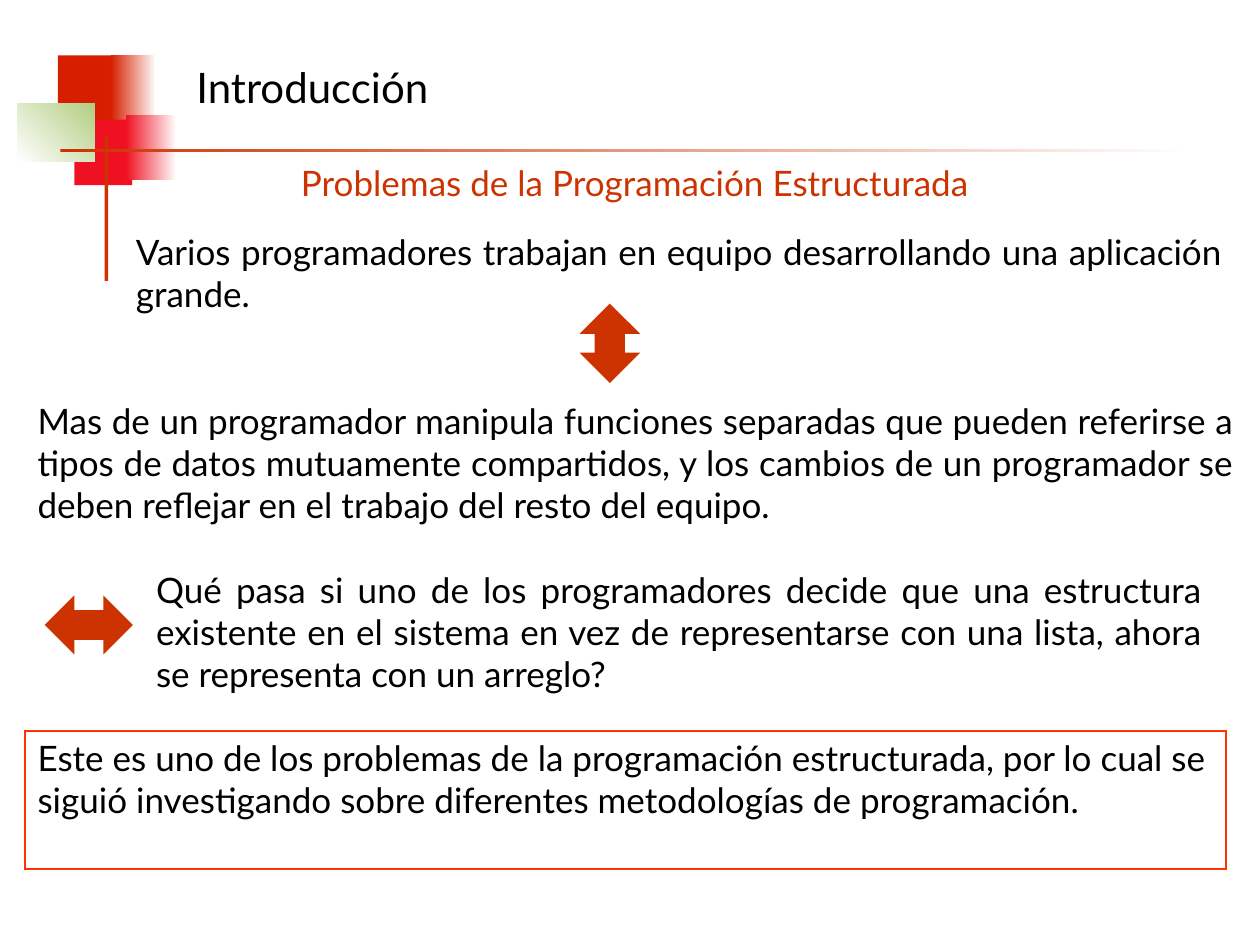
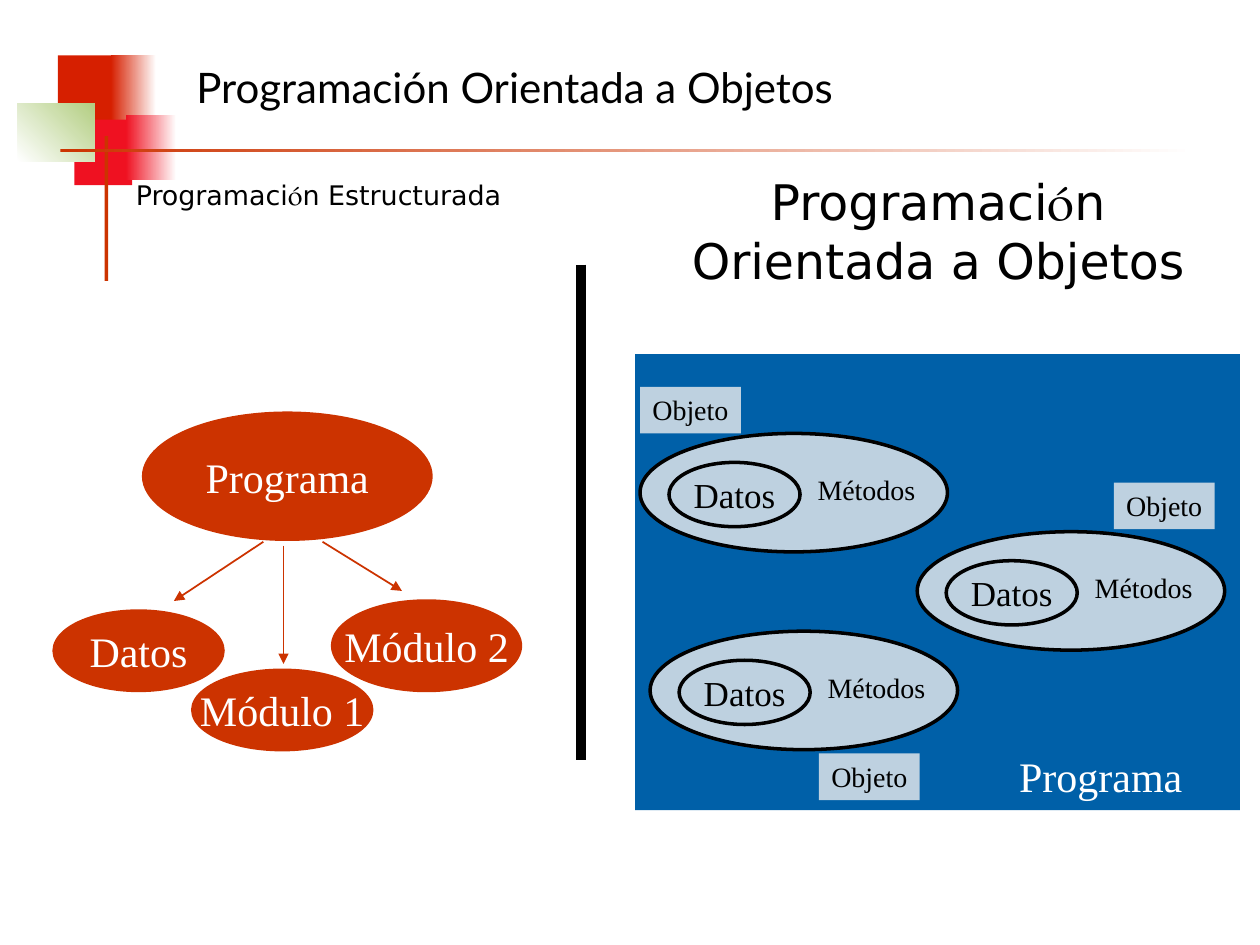
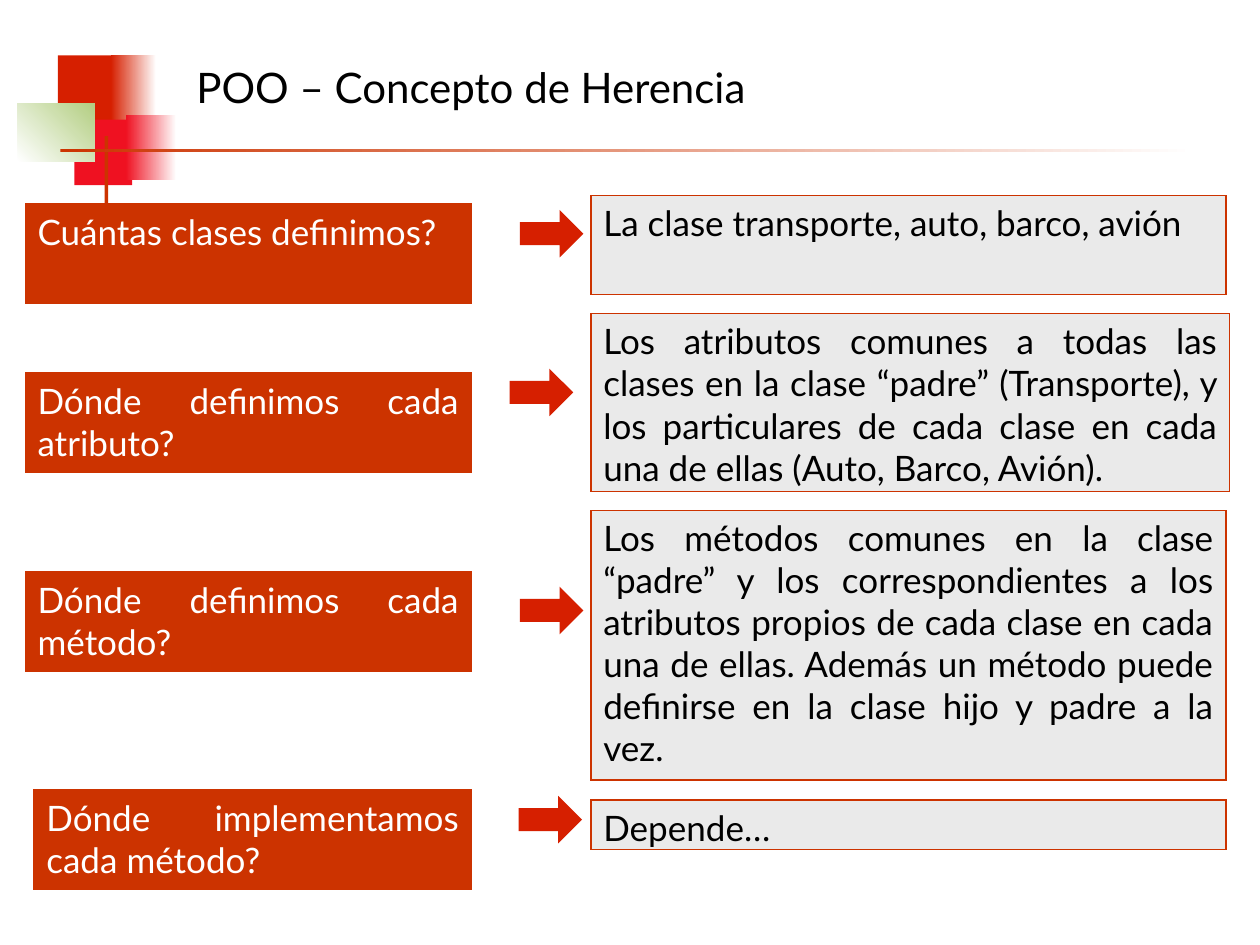
"""Build three slides on structured and object-oriented programming."""
from dataclasses import dataclass
from typing import NamedTuple, Optional

from lxml import etree
from pptx import Presentation
from pptx.dml.color import RGBColor
from pptx.enum import shapes, text as text_enum
from pptx.oxml import ns
from pptx.util import Inches, Pt

RUST = RGBColor(0xCC, 0x33, 0x00)
RED = RGBColor(0xD6, 0x1F, 0x00)
CRIMSON = RGBColor(0xEF, 0x11, 0x21)
ORANGE = RGBColor(0xFF, 0x33, 0x00)
GREEN = RGBColor(0xB3, 0xCE, 0x82)
BLUE = RGBColor(0x00, 0x60, 0xA8)
PALE_BLUE = RGBColor(0xBE, 0xD1, 0xE0)
GRAY = RGBColor(0xEA, 0xEA, 0xEA)
BLACK = RGBColor(0x00, 0x00, 0x00)
WHITE = RGBColor(0xFF, 0xFF, 0xFF)

LATO = "Lato"
TIMES = "Times New Roman"
DEJAVU = "DejaVu Sans"
PAGELLA = "TeX Gyre Pagella"

KIND = shapes.MSO_SHAPE
ALIGN = text_enum.PP_ALIGN
ANCHOR = text_enum.MSO_ANCHOR


class Box(NamedTuple):
    """Left, top, width and height in inches."""
    left: float
    top: float
    width: float
    height: float

    def lengths(self) -> list:
        """Return the four values as lengths."""
        return [Inches(value) for value in self]


class Run(NamedTuple):
    """A stretch of text in one font."""
    text: str
    font: str


@dataclass(frozen=True)
class Ornament:
    """A rectangle of the slide decoration, faded when it has an end colour."""
    box: Box
    color: RGBColor
    end: Optional[RGBColor] = None
    angle: float = 0


@dataclass(frozen=True)
class Module:
    """An ellipse of the structured program."""
    name: str
    box: Box


@dataclass(frozen=True)
class ObjectDiagram:
    """An object with its data and methods, and the offset of its label."""
    left: float
    top: float
    label_dx: float
    label_dy: float


@dataclass(frozen=True)
class Question:
    """A question, its arrow position and its answer."""
    question: str
    question_box: Box
    arrow_left: float
    arrow_top: float
    answer: str
    answer_box: Box


ORNAMENTS = (
    Ornament(Box(0.46, 0.44, 0.48, 0.52), RED),
    Ornament(Box(0.88, 0.44, 0.36, 0.52), RED, WHITE),
    Ornament(Box(0.59, 0.95, 0.46, 0.52), CRIMSON),
    Ornament(Box(1, 0.91, 0.4, 0.52), CRIMSON, WHITE),
    Ornament(Box(0.14, 0.82, 0.61, 0.46), WHITE, GREEN, 45),
    Ornament(Box(0.83, 1.08, 0.03, 1.15), RUST),
    Ornament(Box(0.48, 1.18, 9, 0.03), RUST, WHITE),
)

MODULES = (
    Module("Programa", Box(1.14, 3.28, 2.28, 1)),
    Module("Datos", Box(0.43, 4.85, 1.34, 0.63)),
    Module("Módulo 1", Box(1.53, 5.32, 1.42, 0.63)),
    Module("Módulo 2", Box(2.64, 4.77, 1.49, 0.71)),
)

MODULE_ARROWS = (
    ((2.09, 4.3), (1.38, 4.77)),
    ((2.25, 4.33), (2.25, 5.27)),
    ((2.56, 4.3), (3.19, 4.69)),
)

OBJECTS = (
    ObjectDiagram(5.08, 3.44, 0, -0.37),
    ObjectDiagram(5.16, 5.01, 1.34, 0.97),
    ObjectDiagram(7.28, 4.22, 1.56, -0.39),
)

QUESTIONS = (
    Question("Cuántas clases definimos?", Box(0.2, 1.62, 3.54, 0.79), 4.14, 1.7,
             "La clase transporte, auto, barco, avión", Box(4.69, 1.55, 5.04, 0.79)),
    Question("Dónde definimos cada atributo?", Box(0.2, 2.96, 3.54, 0.79), 4.06, 2.96,
             "Los atributos comunes a todas las clases en la clase “padre” (Transporte), "
             "y los particulares de cada clase en cada una de ellas (Auto, Barco, Avión).",
             Box(4.69, 2.49, 5.07, 1.41)),
    Question("Dónde definimos cada método?", Box(0.2, 4.54, 3.54, 0.79), 4.14, 4.69,
             "Los métodos comunes en la clase “padre” y los correspondientes a los "
             "atributos propios de cada clase en cada una de ellas. Además un método "
             "puede definirse en la clase hijo y padre a la vez.",
             Box(4.69, 4.05, 5.04, 2.14)),
    Question("Dónde implementamos cada método?", Box(0.27, 6.27, 3.47, 0.79), 4.13, 6.35,
             "Depende…", Box(4.69, 6.35, 5.04, 0.39)),
)


def write(shape, content, *, size: float = 20, font: str = LATO,
          color: RGBColor = BLACK, align=ALIGN.LEFT, anchor=ANCHOR.TOP,
          wrap: bool = True, spacing: Optional[float] = None):
    """Write a string or a series of runs as the paragraph of a shape."""
    frame = shape.text_frame
    frame.word_wrap = wrap
    frame.vertical_anchor = anchor
    paragraph = frame.paragraphs[0]
    paragraph.alignment = align
    if spacing:
        paragraph.line_spacing = spacing
    for piece in [Run(content, font)] if isinstance(content, str) else content:
        run = paragraph.add_run()
        run.text = piece.text
        run.font.name = piece.font
        run.font.size = Pt(size)
        run.font.color.rgb = color
    return shape


def add_text(slide, box: Box, content, **style):
    """Add a text box."""
    return write(slide.shapes.add_textbox(*box.lengths()), content, **style)


def add_shape(slide, kind, box: Box, fill: Optional[RGBColor] = None,
              line: Optional[RGBColor] = None, line_width: float = 2):
    """Add a preset shape with an optional fill and a sharp-cornered outline."""
    shape = slide.shapes.add_shape(kind, *box.lengths())
    shape.shadow.inherit = False
    if fill is None:
        shape.fill.background()
    else:
        shape.fill.solid()
        shape.fill.fore_color.rgb = fill
    if line is None:
        shape.line.fill.background()
    else:
        shape.line.color.rgb = line
        shape.line.width = Pt(line_width)
        join = etree.SubElement(shape.line._get_or_add_ln(), ns.qn("a:miter"))
        join.set("lim", "800000")
    return shape


def add_line(slide, start: tuple, end: tuple, color: RGBColor, width: float,
             arrow: bool = False) -> None:
    """Add a straight line, with an arrowhead at its end if asked."""
    points = [Inches(value) for value in (*start, *end)]
    connector = slide.shapes.add_connector(shapes.MSO_CONNECTOR.STRAIGHT, *points)
    connector.line.color.rgb = color
    connector.line.width = Pt(width)
    if arrow:
        head = etree.SubElement(connector.line._get_or_add_ln(), ns.qn("a:tailEnd"))
        head.set("type", "triangle")
    etree.SubElement(connector._element.spPr, ns.qn("a:effectLst"))


def add_double_arrow(slide, box: Box, head: float, rotation: float = 0) -> None:
    """Add a two-headed block arrow."""
    arrow = add_shape(slide, KIND.UP_DOWN_ARROW, box, RUST)
    arrow.adjustments[0] = head
    arrow.adjustments[1] = 0.5
    arrow.rotation = rotation


def start_slide(presentation, title: str):
    """Add a blank slide with the shared decoration and title."""
    slide = presentation.slides.add_slide(presentation.slide_layouts[6])
    for ornament in ORNAMENTS:
        shape = add_shape(slide, KIND.RECTANGLE, ornament.box, ornament.color)
        if ornament.end is not None:
            shape.fill.gradient()
            shape.fill.gradient_angle = ornament.angle
            for stop, color in zip(shape.fill.gradient_stops,
                                   (ornament.color, ornament.end)):
                stop.color.rgb = color
    add_text(slide, Box(1.46, 0.44, 7.32, 0.5), title, size=24)
    return slide


def build_problems(presentation) -> None:
    """Build the slide on the problems of structured programming."""
    slide = start_slide(presentation, "Introducción")
    add_text(slide, Box(2.29, 1.23, 7.35, 0.6),
             "Problemas de la Programación Estructurada", color=RUST, align=ALIGN.JUSTIFY)
    statements = (
        (Box(0.98, 1.78, 8.82, 0.94),
         "Varios programadores trabajan en equipo desarrollando una aplicación grande."),
        (Box(0.2, 3.12, 9.69, 1.73),
         "Mas de un programador manipula funciones separadas que pueden referirse a "
         "tipos de datos mutuamente compartidos, y los cambios de un programador se "
         "deben reflejar en el trabajo del resto del equipo."),
        (Box(1.14, 4.46, 8.5, 1.13),
         "Qué pasa si uno de los programadores decide que una estructura existente en "
         "el sistema en vez de representarse con una lista, ahora se representa con un "
         "arreglo?"),
    )
    for box, statement in statements:
        add_text(slide, box, statement, align=ALIGN.JUSTIFY)
    add_double_arrow(slide, Box(4.6, 2.41, 0.48, 0.63), 0.26)
    add_double_arrow(slide, Box(0.47, 4.61, 0.47, 0.7), 0.3, 270)
    conclusion = add_shape(slide, KIND.RECTANGLE, Box(0.2, 5.8, 9.53, 1.1),
                           line=ORANGE, line_width=1)
    write(conclusion, "Este es uno de los problemas de la programación estructurada, por "
          "lo cual se siguió investigando sobre diferentes metodologías de programación.")


def add_object(slide, item: ObjectDiagram) -> None:
    """Draw an object with its data, methods and label."""
    add_shape(slide, KIND.OVAL, Box(item.left, item.top, 2.44, 0.94), PALE_BLUE, BLACK)
    data = add_shape(slide, KIND.OVAL, Box(item.left + 0.23, item.top + 0.23, 1.04, 0.51),
                     PALE_BLUE, BLACK)
    write(data, "Datos", font=TIMES, align=ALIGN.CENTER, anchor=ANCHOR.MIDDLE, wrap=False)
    labels = (
        ("Métodos", Box(item.left + 1.31, item.top + 0.26, 0.97, 0.37)),
        ("Objeto", Box(item.left + item.label_dx, item.top + item.label_dy, 0.8, 0.37)),
    )
    for name, box in labels:
        write(add_shape(slide, KIND.RECTANGLE, box, PALE_BLUE), name,
              size=16, font=TIMES, wrap=False)


def build_comparison(presentation) -> None:
    """Build the slide comparing structured and object-oriented programs."""
    slide = start_slide(presentation, "Programación Orientada a Objetos")
    heading = (Run("Programaci", DEJAVU), Run("ó", PAGELLA))
    add_text(slide, Box(0.98, 1.42, 3.23, 0.6), (*heading, Run("n Estructurada", DEJAVU)),
             size=15.4, align=ALIGN.JUSTIFY, spacing=0.8)
    for module in MODULES:
        write(add_shape(slide, KIND.OVAL, module.box, RUST, RUST), module.name, size=24,
              font=TIMES, color=WHITE, align=ALIGN.CENTER, anchor=ANCHOR.MIDDLE, wrap=False)
    for start, end in MODULE_ARROWS:
        add_line(slide, start, end, RUST, 1, arrow=True)
    add_line(slide, (4.61, 2.1), (4.61, 6.03), BLACK, 6)
    add_text(slide, Box(5.08, 1.31, 4.73, 0.79),
             (*heading, Run("n Orientada a Objetos", DEJAVU)), size=28, align=ALIGN.CENTER)
    add_shape(slide, KIND.RECTANGLE, Box(5.04, 2.81, 4.8, 3.62), BLUE)
    add_text(slide, Box(7.99, 5.91, 1.7, 0.5), "Programa", size=24, font=TIMES, color=WHITE)
    for item in OBJECTS:
        add_object(slide, item)


def build_inheritance(presentation) -> None:
    """Build the slide of questions and answers on inheritance."""
    slide = start_slide(presentation, "POO – Concepto de Herencia")
    for item in QUESTIONS:
        question = add_shape(slide, KIND.RECTANGLE, item.question_box, RUST, RUST, 0.75)
        write(question, item.question, color=WHITE, align=ALIGN.JUSTIFY)
        answer = add_shape(slide, KIND.RECTANGLE, item.answer_box, GRAY, RUST, 0.75)
        write(answer, item.answer, align=ALIGN.JUSTIFY)
        add_shape(slide, KIND.RIGHT_ARROW,
                  Box(item.arrow_left, item.arrow_top, 0.47, 0.31), RED, RED)


def main() -> None:
    """Build and save the presentation."""
    presentation = Presentation()
    presentation.slide_width = Inches(10)
    presentation.slide_height = Inches(7.5)
    build_problems(presentation)
    build_comparison(presentation)
    build_inheritance(presentation)
    presentation.save("out.pptx")


if __name__ == "__main__":
    main()
